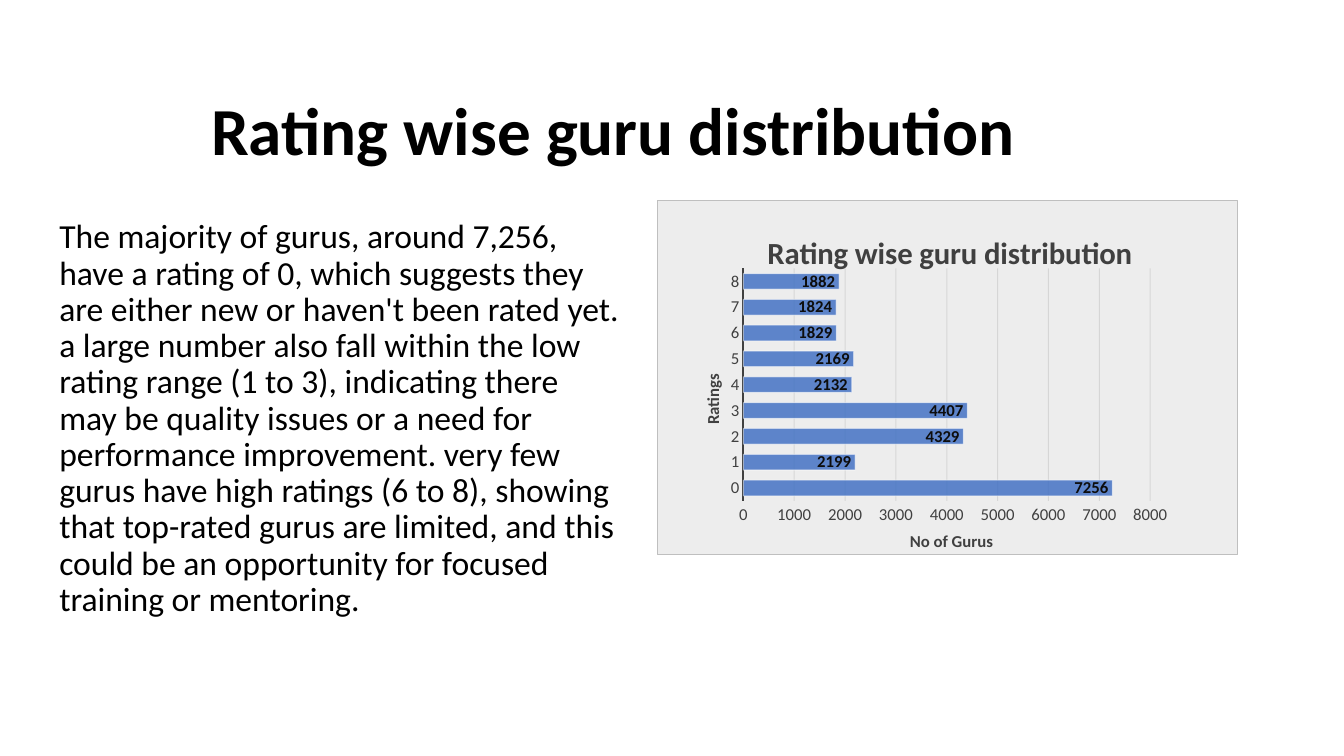
from lxml import etree
from pptx import Presentation
from pptx.chart.data import CategoryChartData
from pptx.dml.color import RGBColor
from pptx.enum.chart import XL_CHART_TYPE as ChartType, XL_LABEL_POSITION as LabelPos
from pptx.enum.chart import XL_TICK_MARK as TickMark
from pptx.enum.text import MSO_ANCHOR as Anchor, MSO_AUTO_SIZE as AutoSize, PP_ALIGN as Align
from pptx.oxml import parse_xml
from pptx.oxml.ns import nsdecls, qn
from pptx.util import Cm, Pt

TITLE = "Rating wise guru distribution"
BODY = (
    "The majority of gurus, around 7,256, have a rating of 0, which suggests they "
    "are either new or haven't been rated yet. a large number also fall within the "
    "low rating range (1 to 3), indicating there may be quality issues or a need for "
    "performance improvement. very few gurus have high ratings (6 to 8), showing that "
    "top-rated gurus are limited, and this could be an opportunity for focused "
    "training or mentoring."
)
GURUS = [7256, 2199, 4329, 4407, 2132, 2169, 1829, 1824, 1882]
TITLE_BOX = Cm(3.2), Cm(1.78), Cm(24.51), Cm(2.62)
BODY_BOX = Cm(1.24), Cm(5.41), Cm(14.63), Cm(12.27)
CHART_BOX = Cm(16.56), Cm(5.05), Cm(14.63), Cm(8.97)

FONT = "Calibri"
BLACK = RGBColor(0, 0, 0)
INK = RGBColor(0x0D, 0x0D, 0x0D)
DARK = RGBColor(0x40, 0x40, 0x40)
BLUE = RGBColor(0x44, 0x72, 0xC4)
WHITE = RGBColor(255, 255, 255)
PANEL = RGBColor(0xED, 0xED, 0xED)
BORDER = RGBColor(0xBF, 0xBF, 0xBF)


def set_font(font, size, color, bold=False):
    font.name, font.size, font.bold = FONT, Pt(size), bold
    font.color.rgb = color


def fill_placeholder(sp, box, text, size, bold, align, anchor):
    sp.left, sp.top, sp.width, sp.height = box
    tf = sp.text_frame
    tf.text, tf.word_wrap = text, True
    tf.auto_size, tf.vertical_anchor = AutoSize.NONE, anchor
    p = tf.paragraphs[0]
    p.alignment, p.line_spacing, p.space_before = align, 0.9, Pt(0)
    set_font(p.font, size, BLACK, bold)


def set_line(line, color, width):
    line.color.rgb = color
    line.width = Pt(width)


def set_alpha(fill, percent):
    for clr in fill._xPr.iter(qn("a:srgbClr")):
        etree.SubElement(clr, qn("a:alpha")).set("val", str(percent * 1000))


def place(element, index, **values):
    for old in element.findall(qn("c:layout")):
        element.remove(old)
    layout = etree.Element(qn("c:layout"))
    manual = etree.SubElement(layout, qn("c:manualLayout"))
    for tag, value in values.items():
        etree.SubElement(manual, qn("c:" + tag)).set("val", str(value))
    element.insert(index, layout)


def add_title(owner, text, size, x, y, rotation=0):
    tf = owner.text_frame
    tf.text = text
    tf._txBody.bodyPr.set("rot", str(rotation * 60000))
    set_font(tf.paragraphs[0].font, size, DARK, True)
    place(owner._element, 1, xMode="edge", yMode="edge", x=x, y=y)


def style_axis(axis):
    axis.major_tick_mark = axis.minor_tick_mark = TickMark.NONE
    set_font(axis.tick_labels.font, 12, DARK)


def add_chart(s):
    data = CategoryChartData()
    data.categories = [str(rating) for rating in range(len(GURUS))]
    data.add_series("Series 1", GURUS)
    chart = s.shapes.add_chart(ChartType.BAR_CLUSTERED, *CHART_BOX, data).chart
    set_font(chart.font, 10, BLACK)
    chart.has_legend = False
    add_title(chart.chart_title, TITLE, 22, 0.18, 0.07)

    ratings, gurus = chart.category_axis, chart.value_axis
    style_axis(ratings)
    style_axis(gurus)
    ratings.has_major_gridlines = False
    set_line(ratings.format.line, DARK, 1.5)
    gurus.minimum_scale, gurus.maximum_scale, gurus.major_unit = 0, 8000, 1000
    gurus.format.line.fill.background()
    grid = gurus.major_gridlines.format.line
    set_line(grid, INK, 0.75)
    set_alpha(grid.fill, 10)
    add_title(ratings.axis_title, "Ratings", 12, 0.07, 0.48, -90)
    add_title(gurus.axis_title, "No of Gurus", 12, 0.43, 0.92)

    plot = chart.plots[0]
    plot.gap_width, plot.vary_by_categories = 65, False
    bars = plot.series[0]
    bars.format.fill.solid()
    bars.format.fill.fore_color.rgb = BLUE
    set_alpha(bars.format.fill, 85)
    set_line(bars.format.line, WHITE, 0.75)
    set_alpha(bars.format.line.fill, 50)
    labels = bars.data_labels
    labels.show_value, labels.position = True, LabelPos.INSIDE_END
    set_font(labels.font, 12, INK, True)

    space = chart._chartSpace
    place(space.chart.plotArea, 0, layoutTarget="inner", xMode="edge", yMode="edge",
          x=0.148, y=0.191, w=0.702, h=0.657)
    space.chart.addnext(parse_xml(
        f'<c:spPr {nsdecls("c", "a")}>'
        f'<a:solidFill><a:srgbClr val="{PANEL}"/></a:solidFill>'
        f'<a:ln w="{Pt(0.75)}"><a:solidFill><a:srgbClr val="{BORDER}"/></a:solidFill></a:ln>'
        '</c:spPr>'))


def main():
    prs = Presentation()
    prs.slide_width, prs.slide_height = Cm(33.87), Cm(19.05)
    s = prs.slides.add_slide(prs.slide_layouts[0])
    title, body = s.placeholders
    fill_placeholder(title, TITLE_BOX, TITLE, 48, True, Align.CENTER, Anchor.BOTTOM)
    fill_placeholder(body, BODY_BOX, BODY, 24, False, Align.LEFT, Anchor.TOP)
    add_chart(s)
    prs.save("out.pptx")


if __name__ == "__main__":
    main()
